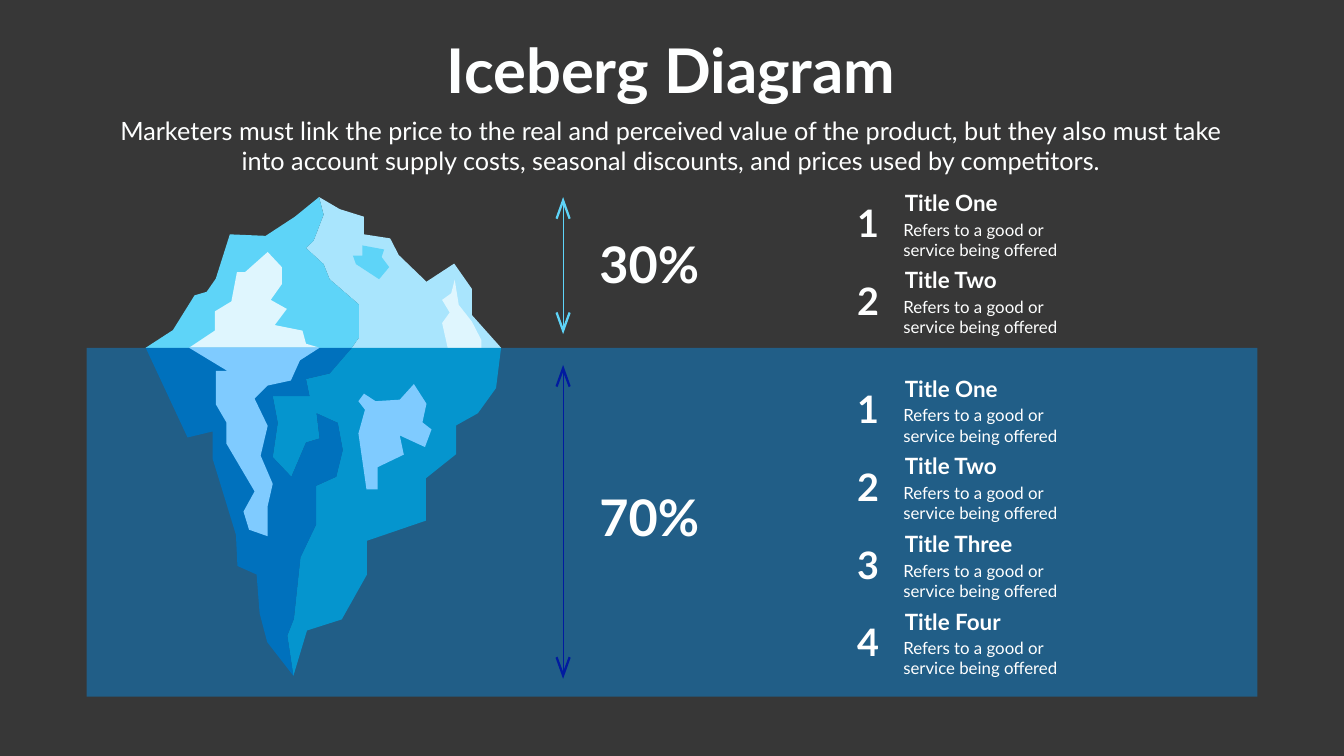
from lxml.etree import SubElement
from pptx import Presentation
from pptx.dml.color import RGBColor as Rgb
from pptx.enum.shapes import MSO_CONNECTOR as Link, MSO_SHAPE as Shape
from pptx.enum.text import MSO_ANCHOR as Anchor, MSO_AUTO_SIZE as Fit, PP_ALIGN as Align
from pptx.oxml.ns import qn
from pptx.util import Inches, Pt

WHITE, SNOW = "FFFFFF", "FEFFFF"
SEA = 6.9  # water level

# Seams where the lit and shaded faces meet, from top to bottom
TOP_SEAM = [(6.33, 3.91), (6.42, 4.26), (6.22, 4.78), (6.07, 4.92), (6.42, 5.24),
            (6.54, 5.54), (7.12, 6.04), (7.12, 6.7), (6.98, SEA)]
LOW_SEAM = [(6.98, SEA), (6.54, 7.41), (6.07, 7.52), (6.14, 7.86), (5.41, 7.86),
            (5.51, 8.39), (5.41, 9.07), (5.78, 9.46), (6.07, 8.78), (6.34, 8.7),
            (6.28, 8.2), (6.7, 8.39), (6.8, 8.93), (6.67, 9.46), (6.27, 9.64),
            (6.27, 10.41), (5.96, 11.06), (5.83, 12.28), (5.7, 12.61), (5.82, 13.41)]

# Iceberg faces, from back to front
FACES = [
    # Above the water
    ("A9E5FD", TOP_SEAM + [
        (9.94, SEA), (9.36, 6.25), (9.36, 5.73), (9.01, 5.23), (8.46, 5.59),
        (7.91, 5.06), (7.74, 4.73), (7.22, 4.65), (7.22, 4.3), (6.74, 4.15)]),
    ("5ED4F8", TOP_SEAM + [
        (2.89, SEA), (3.43, 6.55), (3.86, 5.86), (4.1, 5.79), (4.28, 5.53),
        (4.56, 4.65), (5.27, 4.68), (5.85, 4.3)]),
    ("DFF6FE", [
        (3.75, SEA), (4.26, 6.56), (4.26, 6.18), (4.59, 5.98), (4.7, 5.4),
        (4.86, 5.4), (5.31, 5), (5.59, 5.3), (5.59, 5.64), (5.37, 5.95),
        (5.69, 6.13), (5.45, 6.45), (6, 6.56), (6.07, 6.82), (6.34, SEA)]),
    ("5ED4F8", [
        (7.52, 5.54), (7.72, 5.3), (7.57, 5.1), (7.62, 4.95), (7.19, 4.87),
        (7.19, 5.07), (7, 5.07), (7.06, 5.24)]),
    ("DFF6FE", [
        (9.02, 5.55), (9.1, 6.05), (9.36, 6.38), (9.55, 6.75), (9.55, SEA),
        (8.88, SEA), (8.77, 6.41), (8.92, 6.2), (8.77, 5.95), (8.95, 5.82)]),
    # Below the water
    ("0595CE", LOW_SEAM + [
        (6.09, 12.51), (6.78, 12.29), (7.28, 11.4), (7.28, 10.73), (8.45, 10.33),
        (8.45, 9.49), (9.05, 9.01), (9.05, 8.44), (9.48, 8.2), (9.84, 7.7),
        (9.94, SEA)]),
    ("0071BD", LOW_SEAM + [
        (5.3, 12.74), (5.15, 12.17), (5.09, 11.4), (4.71, 11.23), (4.68, 10.61),
        (4.22, 9.11), (4.22, 8.56), (3.72, 8.68), (2.89, SEA)]),
    ("7FCBFF", [
        (3.75, SEA), (4.51, 7.36), (4.28, 7.36), (4.28, 8.02), (4.49, 8.38),
        (4.49, 8.8), (5.05, 9.75), (4.83, 10.15), (4.94, 10.51), (5.31, 10.64),
        (5.31, 10.04), (5.41, 9.6), (5.17, 9.04), (5.31, 8.45), (5.05, 7.91),
        (5.31, 7.65), (5.77, 7.55), (5.95, 7.15), (6.34, SEA)]),
    ("7FCBFF", [
        (7.93, 8.64), (8.01, 9.02), (7.49, 9.27), (7.49, 9.71), (7.27, 9.71),
        (7.11, 8.6), (7.24, 8.13), (7.11, 7.96), (7.22, 7.81), (7.45, 7.96),
        (7.93, 7.93), (8.21, 7.62), (8.46, 8.01), (8.38, 8.38), (8.56, 8.52),
        (8.43, 8.87)]),
]

# Parts: arrow top and end, arrow colour, share and its top,
# first title top, text colour, titles
PARTS = [
    (3.91, 6.63, "5ED4F8", "30%", 4.57, 3.7, SNOW, ["One", "Two"]),
    (7.24, 13.47, "011BA0", "70%", 9.59, 7.39, WHITE, ["One", "Two", "Three", "Four"]),
]
STEP = 1.54  # from one item to the next
NOTE = "Refers to a good or\nservice being offered"


def tint(code):
    return Rgb.from_string(code)


def write(frame, text, size=24, bold=False, color=SNOW, align=Align.LEFT, font="Lato"):
    frame.text = text
    frame.word_wrap = True
    frame.auto_size = Fit.NONE
    frame.vertical_anchor = Anchor.TOP
    for para in frame.paragraphs:
        para.alignment = align
        para.space_before = Pt(0)
        para.font.name = font
        para.font.size = Pt(size)
        para.font.bold = bold
        para.font.color.rgb = tint(color)


class Board:
    def __init__(self, slide, back="373737"):
        self.slide = slide
        self.shapes = slide.shapes
        slide.background.fill.solid()
        slide.background.fill.fore_color.rgb = tint(back)

    def paint(self, shape, color):
        shape.shadow.inherit = False
        shape.fill.solid()
        shape.fill.fore_color.rgb = tint(color)
        shape.line.fill.background()

    def holder(self, index, box, text, **style):
        item = self.slide.placeholders[index]
        item.left, item.top, item.width, item.height = map(Inches, box)
        write(item.text_frame, text, align=Align.CENTER, **style)

    def label(self, box, text, **style):
        item = self.shapes.add_textbox(*map(Inches, box))
        write(item.text_frame, text, **style)

    def water(self, box, color, alpha):
        shape = self.shapes.add_shape(Shape.RECTANGLE, *map(Inches, box))
        self.paint(shape, color)
        code = shape.fill._xPr.find(qn("a:solidFill"))[0]
        SubElement(code, qn("a:alpha"), val=str(alpha * 1000))

    def face(self, color, points):
        first, *rest = [(Inches(x), Inches(y)) for x, y in points]
        build = self.shapes.build_freeform(*first)
        build.add_line_segments(rest, close=True)
        self.paint(build.convert_to_shape(), color)

    def arrow(self, x, top, end, color, notch=0.14):
        line = self.shapes.add_connector(
            Link.STRAIGHT, Inches(x), Inches(top + notch), Inches(x), Inches(end - notch))
        line.line.color.rgb = tint(color)
        line.line.width = Pt(1.16)
        SubElement(line._element.spPr, qn("a:effectLst"))
        # Open heads: one wing mirrored, then flipped for the lower end
        wing = [(0.15, 0.42), (0.11, 0.44)]
        twin = [(-dx, dy) for dx, dy in reversed(wing)]
        head = [(0, 0), *wing, (0, notch), *twin]
        for tip, way in ((top, 1), (end, -1)):
            self.face(color, [(x + dx, tip + way * dy) for dx, dy in head])

    def entry(self, mark, title, top, color):
        self.label((16.82, top + 0.22, 0.8, 1.01), str(mark), size=54, bold=True,
                   color=color, align=Align.CENTER)
        self.label((17.85, top, 2.43, 0.64), title, size=32, bold=True, color=color)
        self.label((17.82, top + 0.6, 3.3, 0.91), NOTE, color=color)


def main():
    deck = Presentation()
    deck.slide_width, deck.slide_height = Inches(26.66), Inches(15)
    board = Board(deck.slides.add_slide(deck.slide_layouts[0]))

    # Heading
    board.holder(0, (8.66, 0.58, 9.3, 1.58), "Iceberg Diagram", size=88, bold=True)
    board.holder(1, (2.2, 2.24, 22.21, 1.31),
                 "Marketers must link the price to the real and perceived value of the "
                 "product, but they also must take into account supply costs, seasonal "
                 "discounts, and prices used by competitors.", size=36)

    # Water and iceberg
    board.water((1.72, SEA, 23.22, 6.92), "009AFF", 40)
    for color, points in FACES:
        board.face(color, points)

    # Shares and items above and below the water
    for top, end, shade, share, share_top, first, color, names in PARTS:
        board.arrow(11.17, top, end, shade)
        board.label((11.71, share_top, 2.34, 1.31), share, size=72, bold=True,
                    align=Align.CENTER)
        for row, name in enumerate(names):
            board.entry(row + 1, f"Title {name}", first + row * STEP, color)

    deck.save("out.pptx")


if __name__ == "__main__":
    main()
